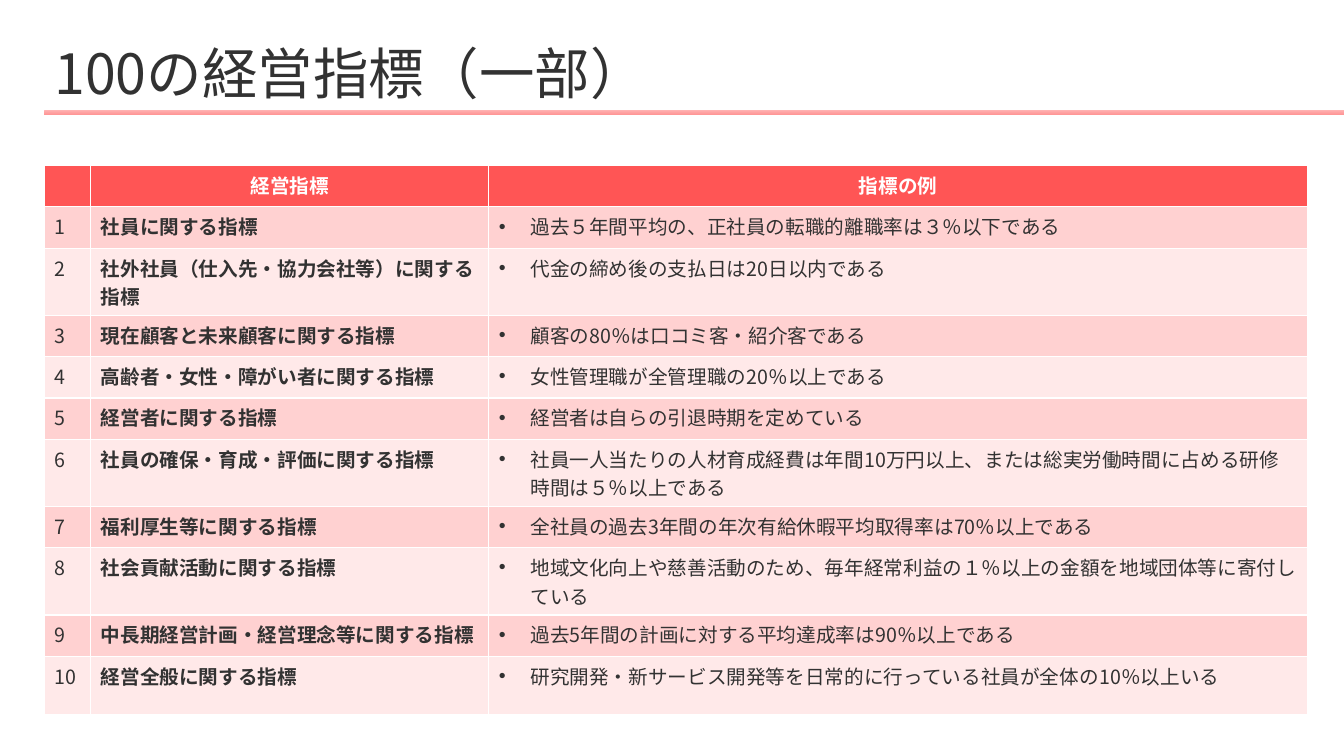
from pptx import Presentation
from pptx.dml.color import RGBColor
from pptx.enum.shapes import MSO_SHAPE as Shape
from pptx.enum.text import MSO_ANCHOR as Anchor, MSO_AUTO_SIZE as AutoSize, PP_ALIGN as Align
from pptx.oxml.ns import qn
from pptx.util import Pt
from lxml.etree import SubElement

FONT = "Noto Sans CJK JP"
WHITE = RGBColor(0xFF, 0xFF, 0xFF)
INK = RGBColor(0x32, 0x32, 0x32)
RED = RGBColor(0xFF, 0x55, 0x55)
PINK = RGBColor(0xFF, 0xD1, 0xD1)
PALE_PINK = RGBColor(0xFF, 0xE9, 0xE9)
RULE_TOP = RGBColor(0xFF, 0xB4, 0xB4)
RULE_BOTTOM = RGBColor(0xFF, 0x95, 0x95)

LEFT = Pt(31.7)
WIDTH = Pt(902.2)
COLUMN_WIDTHS = [33.1, 284.4, 584.7]
ONE_LINE, TWO_LINES = 29.5, 41.5
ROW_HEIGHTS = [ONE_LINE, ONE_LINE, TWO_LINES, ONE_LINE, ONE_LINE, ONE_LINE,
               TWO_LINES, ONE_LINE, TWO_LINES, ONE_LINE, TWO_LINES]

INDICATORS = [
    ("社員に関する指標", "過去５年間平均の、正社員の転職的離職率は３％以下である"),
    ("社外社員（仕入先・協力会社等）に関する指標", "代金の締め後の支払日は20日以内である"),
    ("現在顧客と未来顧客に関する指標", "顧客の80％は口コミ客・紹介客である"),
    ("高齢者・女性・障がい者に関する指標", "女性管理職が全管理職の20％以上である"),
    ("経営者に関する指標", "経営者は自らの引退時期を定めている"),
    ("社員の確保・育成・評価に関する指標",
     "社員一人当たりの人材育成経費は年間10万円以上、または総実労働時間に占める研修時間は５％以上である"),
    ("福利厚生等に関する指標", "全社員の過去3年間の年次有給休暇平均取得率は70％以上である"),
    ("社会貢献活動に関する指標",
     "地域文化向上や慈善活動のため、毎年経常利益の１％以上の金額を地域団体等に寄付している"),
    ("中長期経営計画・経営理念等に関する指標", "過去5年間の計画に対する平均達成率は90％以上である"),
    ("経営全般に関する指標", "研究開発・新サービス開発等を日常的に行っている社員が全体の10％以上いる"),
]


def set_font(paragraph, size, color, bold=False):
    font = paragraph.font
    font.size, font.bold, font.name = Pt(size), bold, FONT
    font.color.rgb = color
    properties = paragraph._p.pPr.find(qn("a:defRPr"))
    SubElement(properties, qn("a:ea")).set("typeface", FONT)


def add_bullet(paragraph):
    properties = paragraph._p.get_or_add_pPr()
    properties.set("marL", str(Pt(22.5)))
    properties.set("indent", str(-Pt(22.5)))
    SubElement(properties, qn("a:buFont")).set("typeface", "Arial")
    SubElement(properties, qn("a:buChar")).set("char", "•")


prs = Presentation()
prs.slide_width, prs.slide_height = Pt(960), Pt(540)
slide = prs.slides.add_slide(prs.slide_layouts[5])

rule = slide.shapes.add_shape(Shape.RECTANGLE, LEFT, Pt(78.5), Pt(928.3), Pt(3.6))
rule.shadow.inherit = False
rule.line.fill.background()
rule.fill.gradient()
rule.fill.gradient_angle = 270
for stop, color in zip(rule.fill.gradient_stops, (RULE_TOP, RULE_BOTTOM)):
    stop.color.rgb = color
for stop, position in zip(rule.fill.gradient_stops, (0, 1)):
    stop.position = position

title = slide.shapes.title
title.left, title.top, title.width, title.height = LEFT, Pt(28.1), WIDTH, Pt(52.6)
title.text_frame.text = "100の経営指標（一部）"
title.text_frame.auto_size = AutoSize.NONE
title.text_frame.vertical_anchor = Anchor.MIDDLE
heading = title.text_frame.paragraphs[0]
heading.alignment = Align.LEFT
heading.line_spacing = 0.9
set_font(heading, 39.6, INK)

table = slide.shapes.add_table(len(ROW_HEIGHTS), len(COLUMN_WIDTHS), LEFT, Pt(118.3),
                               WIDTH, Pt(sum(ROW_HEIGHTS))).table
for column, width in zip(table.columns, COLUMN_WIDTHS):
    column.width = Pt(width)
for row, height in zip(table.rows, ROW_HEIGHTS):
    row.height = Pt(height)

lines = [("", "経営指標", "指標の例")]
lines += [(str(number), *indicator) for number, indicator in enumerate(INDICATORS, 1)]
for r, line in enumerate(lines):
    is_header = r == 0
    for c, text in enumerate(line):
        cell = table.cell(r, c)
        cell.text = text
        cell.fill.solid()
        cell.fill.fore_color.rgb = RED if is_header else PINK if r % 2 else PALE_PINK
        paragraph = cell.text_frame.paragraphs[0]
        if is_header:
            paragraph.alignment = Align.CENTER
        elif c == 2:
            add_bullet(paragraph)
        set_font(paragraph, 14, WHITE if is_header else INK, is_header or c == 1)

prs.save("out.pptx")
